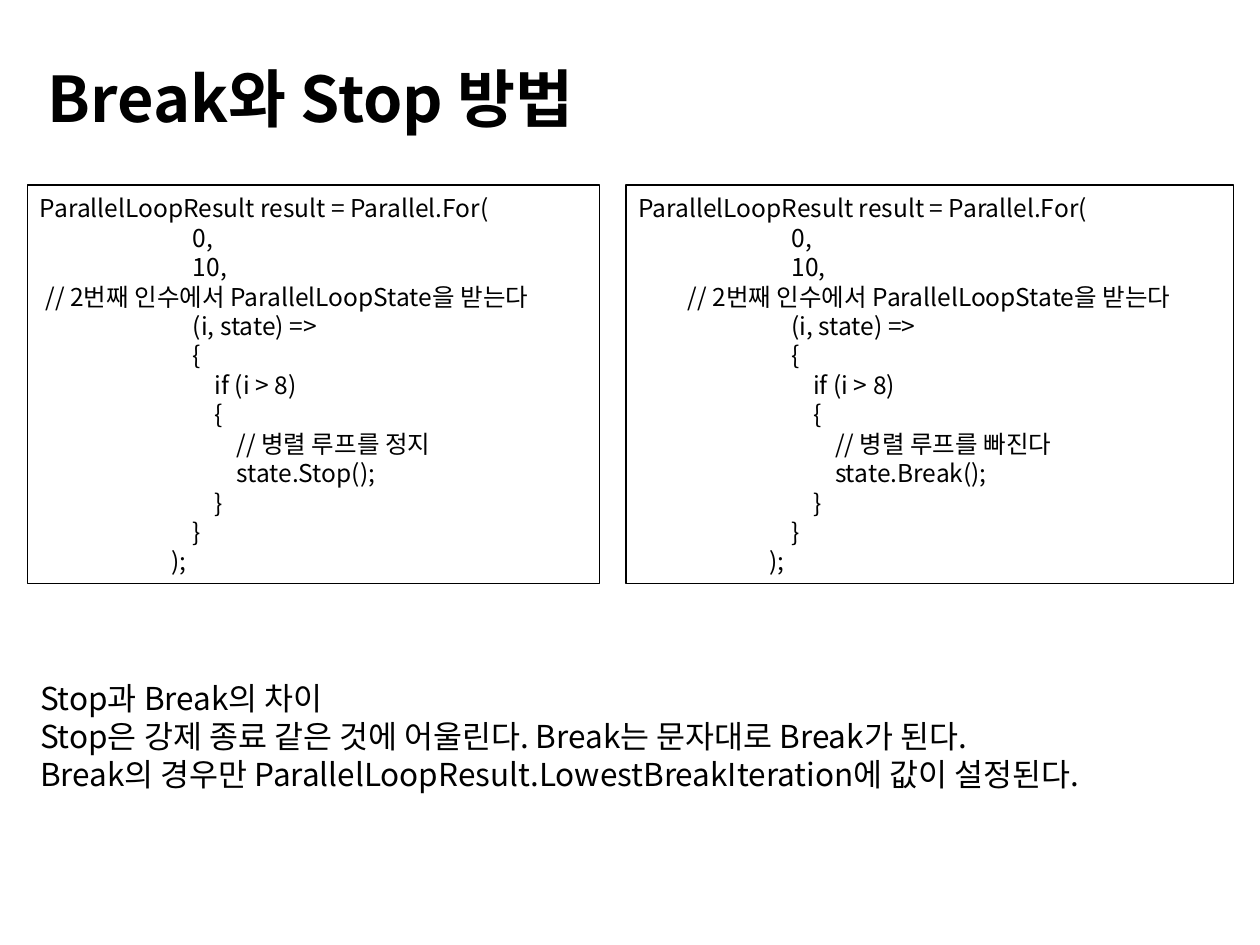
from pptx import Presentation
from pptx.dml.color import RGBColor
from pptx.enum.shapes import MSO_SHAPE
from pptx.enum.text import MSO_ANCHOR, MSO_AUTO_SIZE, PP_ALIGN
from pptx.oxml.ns import qn
from pptx.util import Pt

FONT = "Noto Sans CJK KR"
INK = "000000"
COLUMN = 3.12
LINE = 1.2


def rgb(value):
    """Return the colour for a hex string."""
    return RGBColor.from_string(value)


def write(holder, lines, size, bold=False, color=INK):
    """Fill a shape with (indent in columns, text) lines in one format."""
    frame = holder.text_frame
    frame.word_wrap = True
    frame.auto_size = MSO_AUTO_SIZE.NONE
    frame.vertical_anchor = MSO_ANCHOR.TOP
    frame.margin_left = frame.margin_right = Pt(7.2)
    frame.margin_top = Pt(3.6 + 0.08 * size)
    frame.margin_bottom = Pt(3.6)
    for index, (columns, text) in enumerate(lines):
        paragraph = frame.add_paragraph() if index else frame.paragraphs[0]
        paragraph.alignment = PP_ALIGN.LEFT
        paragraph.line_spacing = Pt(LINE * size)
        paragraph.space_before = paragraph.space_after = Pt(0)
        properties = paragraph._p.get_or_add_pPr()
        properties.set("marL", str(int(Pt(columns * COLUMN))))
        properties.set("indent", "0")
        run = paragraph.add_run()
        run.text = text
        run.font.size = Pt(size)
        run.font.bold = bold
        run.font.name = FONT
        run.font.color.rgb = rgb(color)
        east_asian = run._r.get_or_add_rPr().makeelement(qn("a:ea"), {"typeface": FONT})
        run.font._element.find(qn("a:latin")).addnext(east_asian)


def add_heading(slide, text):
    """Place the slide title."""
    heading = slide.shapes.title
    heading.left, heading.top = Pt(20.2), Pt(27.4)
    heading.width, heading.height = Pt(614.2), Pt(51.1)
    write(heading, [(0, text)], size=36, bold=True)


def add_code(slide, left, width, note_indent, action, call):
    """Draw a framed listing of a parallel loop that ends with the call."""
    frame = slide.shapes.add_shape(
        MSO_SHAPE.RECTANGLE, Pt(left), Pt(105.8), Pt(width), Pt(227.5))
    frame.shadow.inherit = False
    frame.fill.background()
    frame.line.color.rgb = rgb(INK)
    frame.line.width = Pt(0.75)
    write(frame, [
        (0, "ParallelLoopResult result = Parallel.For("),
        (28, "0,"),
        (28, "10,"),
        (note_indent, "// 2번째 인수에서 ParallelLoopState을 받는다"),
        (28, "(i, state) =>"),
        (28, "{"),
        (32, "if (i > 8)"),
        (32, "{"),
        (36, f"// 병렬 루프를 {action}"),
        (36, f"state.{call}();"),
        (32, "}"),
        (28, "}"),
        (24, ");"),
    ], size=14)


def add_summary(slide, sentences):
    """Place the closing explanation."""
    summary = slide.shapes.add_textbox(Pt(15.8), Pt(383), Pt(691.9), Pt(72.7))
    write(summary, [(0, sentence) for sentence in sentences], size=18)


def main():
    """Build the slide and save it."""
    deck = Presentation()
    deck.slide_width, deck.slide_height = Pt(720), Pt(540)
    slide = deck.slides.add_slide(deck.slide_layouts[5])
    add_code(slide, 15.8, 326.9, 1, "정지", "Stop")
    add_code(slide, 357.8, 347, 9, "빠진다", "Break")
    add_summary(slide, [
        "Stop과 Break의 차이",
        "Stop은 강제 종료 같은 것에 어울린다. Break는 문자대로 Break가 된다.",
        "Break의 경우만 ParallelLoopResult.LowestBreakIteration에 값이 설정된다.",
    ])
    add_heading(slide, "Break와 Stop 방법")
    deck.save("out.pptx")


if __name__ == "__main__":
    main()
